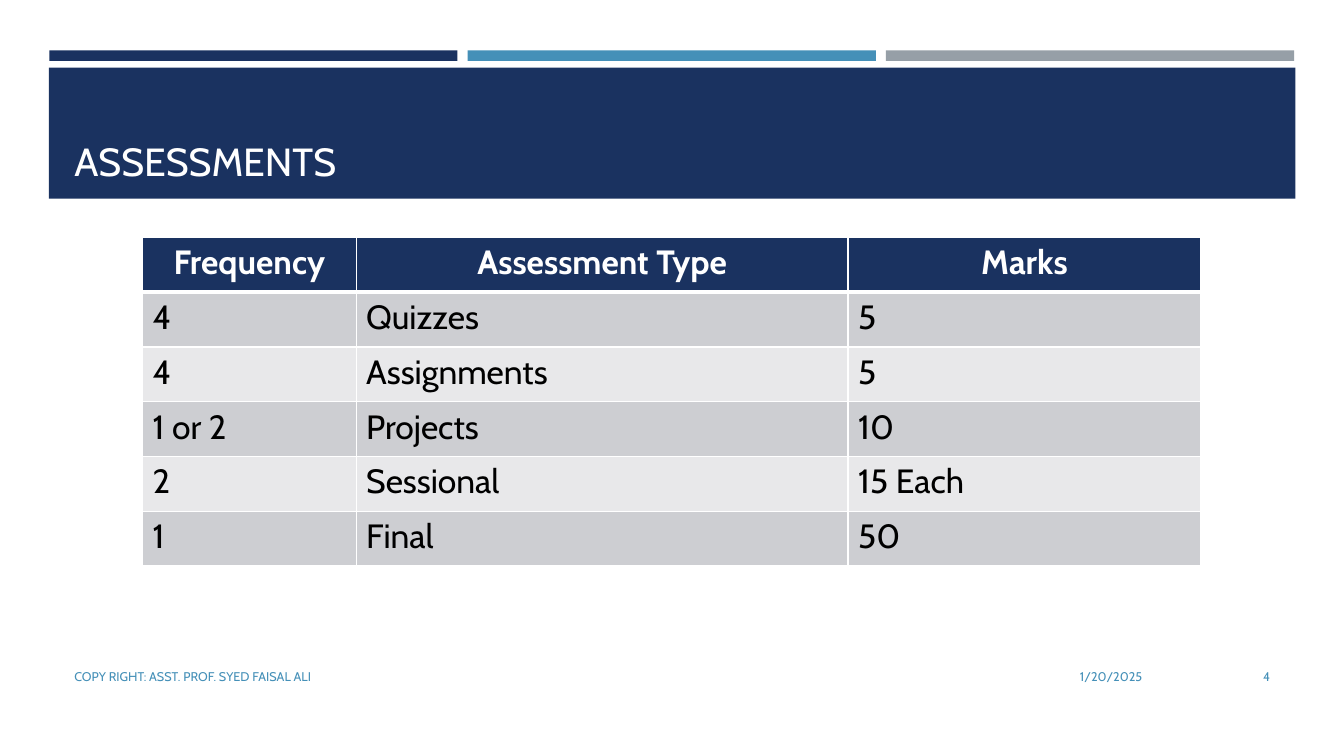
from lxml import etree
from pptx import Presentation
from pptx import util as u
from pptx.dml import color
from pptx.enum import shapes, text
from pptx.oxml import ns

Pt = u.Pt
hues = {"navy": "1A3260", "blue": "4590B8", "gray": "969FA7", "white": "FFFFFF",
        "black": "000000", "dark": "CDCED2", "light": "E8E8EA"}
left, mid, right = text.PP_ALIGN.LEFT, text.PP_ALIGN.CENTER, text.PP_ALIGN.RIGHT


def tint(fill, hue):
    fill.solid()
    fill.fore_color.rgb = color.RGBColor.from_string(hues[hue])


def write(frame, words, size, hue, align, bold=False):
    para = frame.paragraphs[0]
    para.alignment = align
    run = para.add_run()
    run.text = words
    for key, val in {"name": "Cabin", "size": Pt(size), "bold": bold}.items():
        setattr(run.font, key, val)
    tint(run.font.fill, hue)


deck = Presentation()
deck.slide_width, deck.slide_height = Pt(960), Pt(540)
slide = deck.slides.add_slide(deck.slide_layouts[6])

bars = [(35.2 + 298.8 * i, 36, 291.6, 7.5, hue)
        for i, hue in enumerate(["navy", "blue", "gray"])]
for x, y, w, h, hue in bars + [(34.9, 48.4, 890.4, 93.6, "navy")]:
    bar = slide.shapes.add_shape(shapes.MSO_SHAPE.RECTANGLE, Pt(x), Pt(y), Pt(w), Pt(h))
    bar.shadow.inherit = False
    tint(bar.fill, hue)
    bar.line.fill.background()

low, center = text.MSO_ANCHOR.BOTTOM, text.MSO_ANCHOR.MIDDLE
labels = [
    ("ASSESSMENTS", 46, 55.4, 868.4, 80, 28, "white", left, low),
    ("1/20/2025", 599, 469, 224, 28.8, 9, "blue", right, center),
    ("COPY RIGHT: ASST. PROF. SYED FAISAL ALI", 46, 469, 544.4, 28.8, 9, "blue", left, center),
    ("4", 831.6, 469, 82.8, 28.8, 9, "blue", right, center),
]
for words, x, y, w, h, size, hue, align, anchor in labels:
    frame = slide.shapes.add_textbox(Pt(x), Pt(y), Pt(w), Pt(h)).text_frame
    for key, val in {"word_wrap": True, "vertical_anchor": anchor}.items():
        setattr(frame, key, val)
    write(frame, words, size, hue, align)

rows = [
    ("Frequency", "Assessment Type", "Marks"),
    ("4", "Quizzes", "5"),
    ("4", "Assignments", "5"),
    ("1 or 2", "Projects", "10"),
    ("2", "Sessional", "15 Each"),
    ("1", "Final", "50"),
]
wide = [152.6, 351.4, 252]
tall = 39.12
table = slide.shapes.add_table(len(rows), len(wide), Pt(101.8), Pt(169.6),
                               Pt(sum(wide)), Pt(tall * len(rows))).table
for col, w in zip(table.columns, wide):
    col.width = Pt(w)
for r, row in enumerate(rows):
    table.rows[r].height = Pt(tall)
    head = r == 0
    for c, words in enumerate(row):
        cell = table.cell(r, c)
        props = cell._tc.get_or_add_tcPr()
        for side in "LRTB":
            thick = (r, side) in [(0, "B"), (1, "T")]
            edge = etree.SubElement(props, ns.qn("a:ln" + side), w=str(Pt(3 if thick else 1)))
            fill = etree.SubElement(edge, ns.qn("a:solidFill"))
            etree.SubElement(fill, ns.qn("a:srgbClr"), val=hues["white"])
        tint(cell.fill, "navy" if head else "dark" if r % 2 else "light")
        write(cell.text_frame, words, 24, "white" if head else "black",
              mid if head else left, head)

deck.save("out.pptx")
